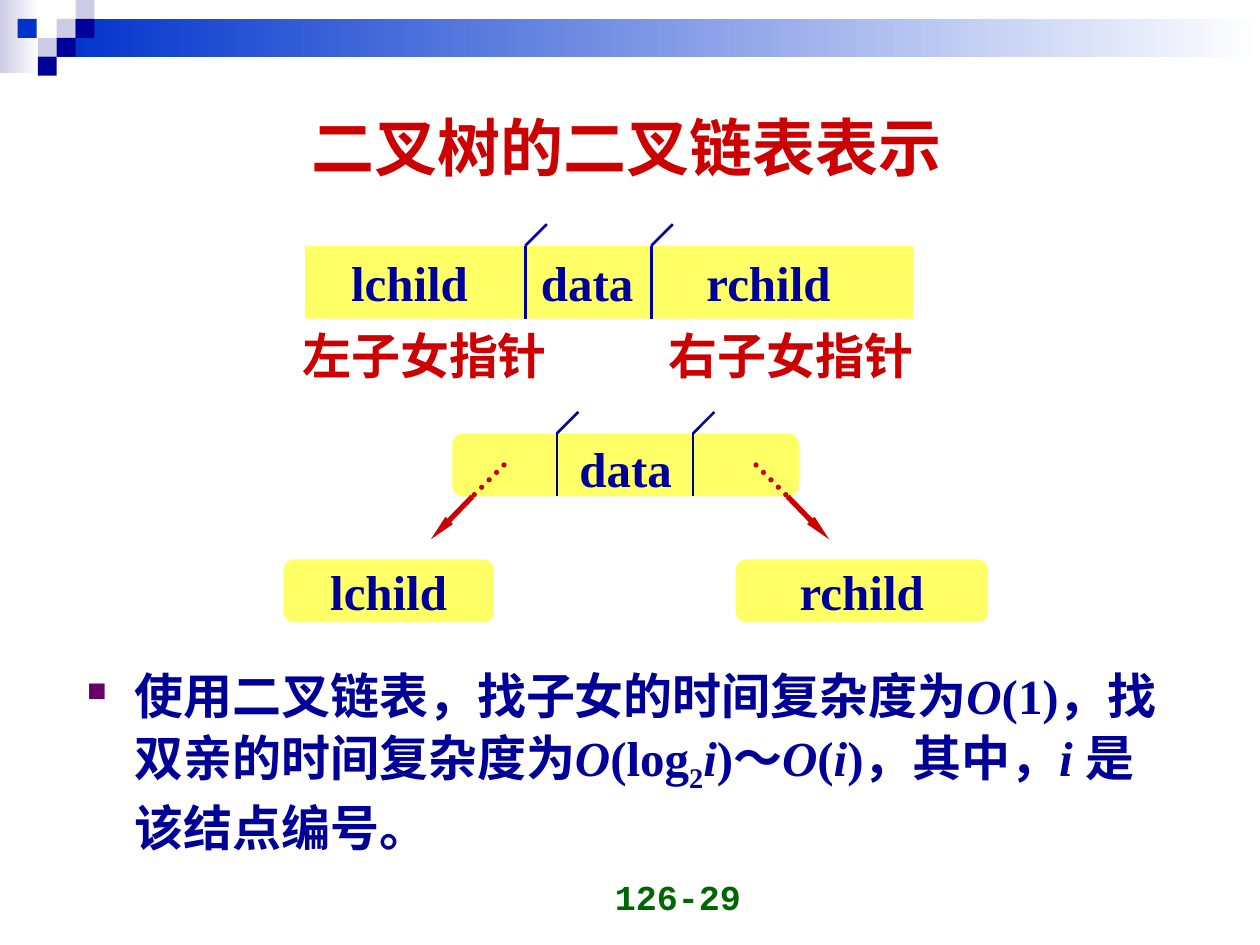
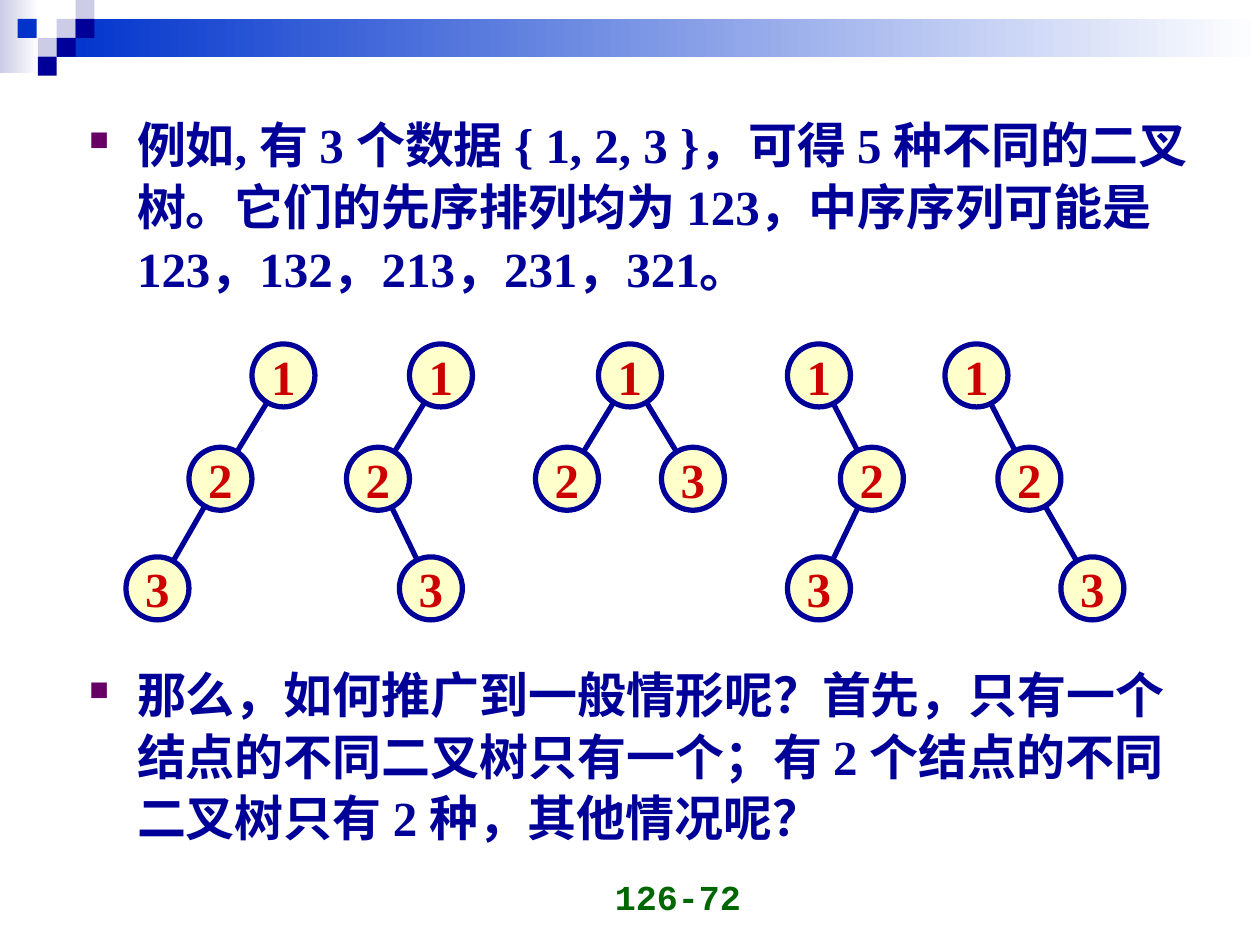
from lxml import etree
from pptx import Presentation
from pptx.dml.color import RGBColor
from pptx.enum.dml import MSO_LINE as Dash
from pptx.enum.shapes import MSO_CONNECTOR as Link, MSO_SHAPE as Kind
from pptx.enum.text import MSO_ANCHOR as Anchor, PP_ALIGN as Align
from pptx.oxml.ns import qn
from pptx.util import Inches, Pt

NAVY = RGBColor(0x00, 0x00, 0x99)
BLUE = RGBColor(0x00, 0x33, 0xCC)
LILAC = RGBColor(0xCC, 0xCC, 0xE6)
WHITE = RGBColor(0xFF, 0xFF, 0xFF)
RED = RGBColor(0xCC, 0x00, 0x00)
GREEN = RGBColor(0x00, 0x66, 0x00)
PLUM = RGBColor(0x66, 0x00, 0x66)
YELLOW = RGBColor(0xFF, 0xFF, 0x66)
CREAM = RGBColor(0xFF, 0xFF, 0xCC)

SERIF = "Times New Roman"
MONO = "Courier New"
TILE = 0.15
TILES = [(0.45, 0.15, LILAC), (0.6, 0, LILAC), (0.6, 0.15, NAVY),
         (0.3, 0.3, LILAC), (0.14, 0.15, BLUE), (0.45, 0.3, NAVY),
         (0.3, 0.45, NAVY)]

NODE = 0.5
ROWS = [0, 0.82, 1.69]
# Each tree lists its nodes as (x, row, index of parent).
TREES = [
    [(1, 0, None), (0.5, 1, 0), (0, 2, 1)],
    [(2.25, 0, None), (1.75, 1, 0), (2.17, 2, 1)],
    [(3.75, 0, None), (3.25, 1, 0), (4.25, 1, 0)],
    [(5.25, 0, None), (5.67, 1, 0), (5.25, 2, 1)],
    [(6.5, 0, None), (6.92, 1, 0), (7.42, 2, 1)],
]

COST = [("使用二叉链表，找子女的时间复杂度为", ""), ("O", "i"),
        ("(1)，找双亲的时间复杂度为", ""), ("O", "i"), ("(log", ""),
        ("2", "sub"), ("i", "i"), (")～", ""), ("O", "i"), ("(", ""),
        ("i", "i"), (")，其中，", ""), ("i ", "i"), ("是该结点编号。", "")]
CASE = [("例如, 有 3 个数据 { 1, 2, 3 }，可得 5 种不同的二叉树。它们的先序排列"
         "均为 123，中序序列可能是 123，132，213，231，321。", "")]
ASK = [("那么，如何推广到一般情形呢？首先，只有一个结点的不同二叉树只有一个；"
        "有 2 个结点的不同二叉树只有 2 种，其他情况呢？", "")]


def add_run(par, text, color=NAVY, size=28, face=SERIF, style=""):
    run = par.add_run()
    run.text = text
    font = run.font
    font.name, font.size, font.bold = face, Pt(size), True
    font.color.rgb = color
    if style == "i":
        font.italic = True
    elif style == "sub":
        font._element.set("baseline", "-25000")


def add_box(shapes, kind, x, y, w, h, fill, edge=None):
    """Add a flat shape; a pair of colours as fill gives a gradient."""
    box = shapes.add_shape(kind, Inches(x), Inches(y), Inches(w), Inches(h))
    box.shadow.inherit = False
    if isinstance(fill, list):
        box.fill.gradient()
        box.fill.gradient_angle = 0
        for stop, color in zip(box.fill.gradient_stops, fill):
            stop.color.rgb = color
    else:
        box.fill.solid()
        box.fill.fore_color.rgb = fill
    if edge is None:
        box.line.fill.background()
    else:
        box.line.color.rgb = edge
        box.line.width = Pt(3)
    return box


def add_line(shapes, start, end, color=NAVY, width=1.5):
    line = shapes.add_connector(Link.STRAIGHT, *map(Inches, start + end))
    line.line.color.rgb = color
    line.line.width = Pt(width)
    etree.SubElement(line._element.spPr, qn("a:effectLst"))
    return line


def set_label(shape, text, color=NAVY):
    """Centre one line of text in a shape or text box."""
    frame = shape.text_frame
    frame.word_wrap = False
    frame.vertical_anchor = Anchor.MIDDLE
    frame.margin_left = frame.margin_right = 0
    frame.margin_top = frame.margin_bottom = 0
    par = frame.paragraphs[0]
    par.alignment = Align.CENTER
    add_run(par, text, color)


def add_text(shapes, x, y, w, h):
    return shapes.add_textbox(Inches(x), Inches(y), Inches(w), Inches(h))


def add_label(shapes, x, y, w, h, text, color=NAVY):
    set_label(add_text(shapes, x, y, w, h), text, color)


def add_frame(slide, page):
    """Draw the band, the corner tiles and the page number."""
    band = slide.shapes.add_group_shape().shapes
    add_box(band, Kind.RECTANGLE, 0, 0, 0.31, 0.58, [LILAC, WHITE])
    add_box(band, Kind.RECTANGLE, 0.45, 0.15, 9.55, 0.3, [BLUE, WHITE])
    for x, y, color in TILES:
        add_box(band, Kind.RECTANGLE, x, y, TILE, TILE, color)
    frame = add_text(slide.shapes, 3.65, 6.83, 2.33, 0.5).text_frame
    frame.word_wrap = True
    frame.vertical_anchor = Anchor.BOTTOM
    par = frame.paragraphs[0]
    par.alignment = Align.RIGHT
    add_run(par, page, GREEN, 20, MONO)


def add_title(slide, text):
    title = slide.shapes.title
    title.left, title.top = Inches(0.47), Inches(0.58)
    title.width, title.height = Inches(9), Inches(1.16)
    frame = title.text_frame
    frame.vertical_anchor = Anchor.MIDDLE
    par = frame.paragraphs[0]
    par.alignment = Align.CENTER
    add_run(par, text, RED, 36)


def add_point(slide, x, y, w, h, runs):
    """Add one bulleted paragraph made of (text, style) runs."""
    frame = add_text(slide.shapes, x, y, w, h).text_frame
    frame.word_wrap = True
    par = frame.paragraphs[0]
    props = par._p.get_or_add_pPr()
    props.set("marL", str(Inches(0.38)))
    props.set("indent", str(-Inches(0.38)))
    tint = etree.SubElement(props, qn("a:buClr"))
    etree.SubElement(tint, qn("a:srgbClr")).set("val", str(PLUM))
    etree.SubElement(props, qn("a:buSzPct")).set("val", "55000")
    etree.SubElement(props, qn("a:buChar")).set("char", "■")
    par.line_spacing = 1.05
    for text, style in runs:
        add_run(par, text, style=style)


def add_cells(shapes, kind, x, y, w, h, cuts):
    """Draw a record split at the cuts, each cut ending in a slanted tick."""
    box = add_box(shapes, kind, x, y, w, h, YELLOW)
    for cut in cuts:
        add_line(shapes, (x + cut, y + h), (x + cut, y))
        add_line(shapes, (x + cut, y), (x + cut + 0.17, y - 0.17))
    return box


def add_record(slide, x, y):
    """Draw the three named fields with the captions below."""
    shapes, high = slide.shapes, 0.58
    add_cells(shapes, Kind.RECTANGLE, x, y, 4.83, high, [1.75, 2.75])
    for mid, text in [(0.83, "lchild"), (2.24, "data"), (3.68, "rchild")]:
        add_label(shapes, x + mid - 0.6, y, 1.2, high, text)
    for mid, text in [(0.95, "左子女指针"), (3.86, "右子女指针")]:
        add_label(shapes, x + mid - 1, y + high, 2, high, text, RED)


def add_arrow(shapes, x, y, side):
    """Draw a pointer, dotted inside its cell; side is -1 left or 1 right."""
    exit_at = (x + side * 0.25, y + 0.25)
    dots = add_line(shapes, (x, y), exit_at, RED, 3)
    dots.line.dash_style = Dash.ROUND_DOT
    dots.line._get_or_add_ln().set("cap", "rnd")
    shaft = add_line(shapes, exit_at, (x + side * 0.58, y + 0.59), RED, 3)
    tip = etree.SubElement(shaft.line._get_or_add_ln(), qn("a:tailEnd"))
    for key, val in [("type", "triangle"), ("w", "sm"), ("len", "lg")]:
        tip.set(key, val)


def add_links(slide, x, y):
    """Draw a node and its pointers to two children."""
    shapes, high = slide.shapes, 0.5
    add_cells(shapes, Kind.ROUNDED_RECTANGLE, x + 1.34, y, 2.75, high,
              [0.83, 1.91])
    add_label(shapes, x + 2.25, y, 0.93, high + 0.04, "data")
    for left, wide, text in [(0, 1.67, "lchild"), (3.59, 2, "rchild")]:
        child = add_box(shapes, Kind.ROUNDED_RECTANGLE, x + left, y + 1,
                        wide, high, YELLOW)
        set_label(child, text)
    add_arrow(shapes, x + 1.75, y + 0.25, -1)
    add_arrow(shapes, x + 3.75, y + 0.25, 1)


def add_tree(slide, x, y, nodes):
    """Draw the edges, then the numbered nodes on top of them."""
    spots = [(x + left, y + ROWS[row]) for left, row, _ in nodes]
    mids = [(left + NODE / 2, top + NODE / 2) for left, top in spots]
    for mid, (_, _, parent) in zip(mids, nodes):
        if parent is not None:
            add_line(slide.shapes, mids[parent], mid, NAVY, 3)
    for num, (left, top) in enumerate(spots, 1):
        node = add_box(slide.shapes, Kind.OVAL, left, top, NODE, NODE,
                       CREAM, NAVY)
        set_label(node, str(num), RED)


def build_list(deck):
    slide = deck.slides.add_slide(deck.slide_layouts[5])
    add_frame(slide, "126-29")
    add_title(slide, "二叉树的二叉链表表示")
    add_record(slide, 2.42, 1.95)
    add_links(slide, 2.25, 3.44)
    add_point(slide, 0.59, 5.21, 8.82, 1.73, COST)


def build_trees(deck):
    slide = deck.slides.add_slide(deck.slide_layouts[6])
    add_frame(slide, "126-72")
    for nodes in TREES:
        add_tree(slide, 1, 2.73, nodes)
    for top, runs in [(0.84, CASE), (5.2, ASK)]:
        add_point(slide, 0.61, top, 9, 1.73, runs)


def main():
    deck = Presentation()
    deck.slide_width, deck.slide_height = Inches(10), Inches(7.5)
    build_list(deck)
    build_trees(deck)
    deck.save("out.pptx")


if __name__ == "__main__":
    main()
